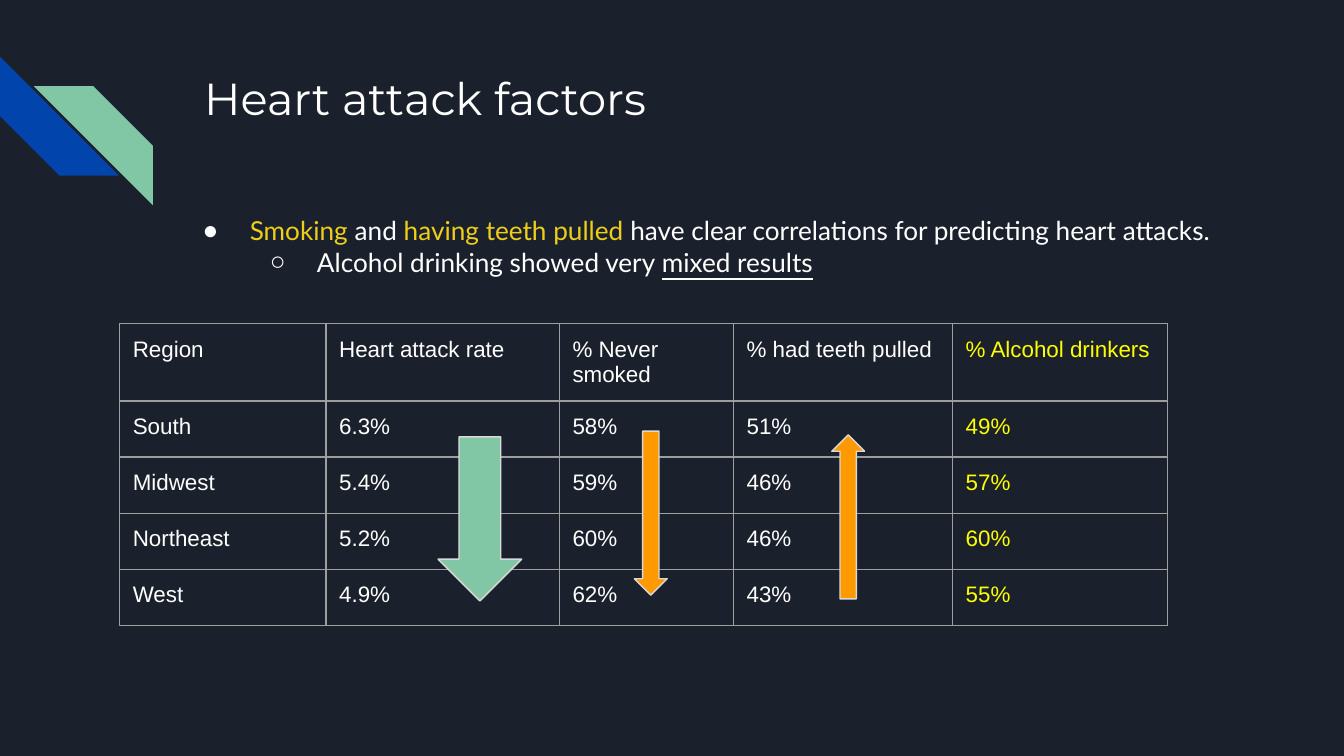
from lxml import etree
from pptx import Presentation
from pptx import util as u
from pptx.dml.color import RGBColor
from pptx.enum import shapes, text
from pptx.oxml.ns import qn

NIGHT = RGBColor(0x1B, 0x21, 0x2C)
WHITE = RGBColor(0xFF, 0xFF, 0xFF)
BLUE = RGBColor(0x01, 0x45, 0xAC)
GREEN = RGBColor(0x82, 0xC7, 0xA5)
ORANGE = RGBColor(0xFF, 0x99, 0x00)
GOLD = RGBColor(0xEE, 0xCE, 0x1A)
YELLOW = RGBColor(0xFF, 0xFF, 0x00)
PALE = RGBColor(0xD9, 0xD9, 0xD9)
GREY = RGBColor(0x9E, 0x9E, 0x9E)

KIND = shapes.MSO_SHAPE
INSET = u.Cm(0.25)


class SlideBuilder:
    """Holds the style and the current slide."""

    title_font, body_font, table_font = "Montserrat", "Lato", "Arial"

    def __init__(self, page):
        self.page = page
        page.background.fill.solid()
        page.background.fill.fore_color.rgb = NIGHT

    def style(self, font, name, size, color=WHITE):
        font.name, font.size = name, u.Pt(size)
        font.color.rgb = color

    def place(self, box, left, top, width, height):
        box.left, box.top = u.Cm(left), u.Cm(top)
        box.width, box.height = u.Cm(width), u.Cm(height)
        frame = box.text_frame
        frame.margin_left = frame.margin_right = INSET
        frame.margin_top = frame.margin_bottom = INSET
        frame.word_wrap = True
        frame.auto_size = text.MSO_AUTO_SIZE.NONE
        frame.vertical_anchor = text.MSO_ANCHOR.TOP
        return frame

    def title(self, words, *area):
        frame = self.place(self.page.shapes.title, *area)
        frame.text = words
        para = frame.paragraphs[0]
        para.alignment = text.PP_ALIGN.LEFT
        self.style(para.font, self.title_font, 24)

    def bullets(self, items, *area):
        """Each item is (bullet, spans); a span is (words, color, underline)."""
        frame = self.place(self.page.placeholders[1], *area)
        for level, (bullet, spans) in enumerate(items):
            para = frame.add_paragraph() if level else frame.paragraphs[0]
            para.level = level
            para.space_before = u.Pt(0)
            self.style(para.font, self.body_font, 14)
            for words, color, underline in spans:
                span = para.add_run()
                span.text = words
                span.font.color.rgb = color
                if underline:
                    span.font.underline = True
            self.bullet(para, bullet, u.Cm(1.27 * (level + 1)), u.Cm(-0.89))

    def bullet(self, para, mark, margin, indent):
        props = para._p.get_or_add_pPr()
        props.set("marL", str(margin))
        props.set("indent", str(indent))
        # The bullet parts stand before the default run properties
        anchor = props.find(qn("a:defRPr"))
        color = etree.Element(qn("a:buClr"))
        etree.SubElement(color, qn("a:srgbClr"), val=str(WHITE))
        anchor.addprevious(color)
        anchor.addprevious(etree.Element(qn("a:buChar"), char=mark))

    def shape(self, kind, area, fill, line=None, rotation=0, flip=False):
        shape = self.page.shapes.add_shape(kind, *map(u.Cm, area))
        shape.shadow.inherit = False
        shape.fill.solid()
        shape.fill.fore_color.rgb = fill
        if line is None:
            shape.line.fill.background()
        else:
            shape.line.color.rgb = line
            shape.line.width = u.Pt(0.75)
        shape.rotation = rotation
        if flip:
            shape._element.spPr.find(qn("a:xfrm")).set("flipH", "1")

    def table(self, rows, left, top, widths, heights, colors):
        table = self.page.shapes.add_table(
            len(rows), len(widths), u.Cm(left), u.Cm(top),
            u.Cm(sum(widths)), u.Cm(sum(heights))).table
        table.first_row = table.horz_banding = False
        for column, width in zip(table.columns, widths):
            column.width = u.Cm(width)
        for row, height, values in zip(table.rows, heights, rows):
            row.height = u.Cm(height)
            for cell, value, color in zip(row.cells, values, colors):
                self.cell(cell, value, color)

    def cell(self, cell, value, color):
        cell.text = value
        self.style(cell.text_frame.paragraphs[0].font, self.table_font, 12, color)
        cell.margin_left = cell.margin_right = INSET
        cell.margin_top = cell.margin_bottom = INSET
        props = cell._tc.get_or_add_tcPr()
        for side in ("lnL", "lnR", "lnT", "lnB"):
            border = etree.SubElement(props, qn("a:" + side), w=str(u.Pt(0.75)))
            fill = etree.SubElement(border, qn("a:solidFill"))
            etree.SubElement(fill, qn("a:srgbClr"), val=str(GREY))
        cell.fill.background()


def main():
    deck = Presentation()
    deck.slide_width, deck.slide_height = u.Cm(25.4), u.Cm(14.29)
    slide = SlideBuilder(deck.slides.add_slide(deck.slide_layouts[1]))

    # Corner stripes
    slide.shape(KIND.DIAGONAL_STRIPE, (0, 1.07, 2.25, 2.25), BLUE, rotation=270)
    slide.shape(KIND.DIAGONAL_STRIPE, (0.64, 1.63, 2.25, 2.25), GREEN, flip=True)

    # Title and findings
    slide.title("Heart attack factors", 3.61, 1.09, 19.56, 2.54)
    slide.bullets([
        ("●", [("Smoking", GOLD, False), (" and ", WHITE, False),
               ("having teeth pulled", GOLD, False),
               (" have clear correlations for predicting heart attacks.",
                WHITE, False)]),
        ("○", [("Alcohol drinking showed very ", WHITE, False),
               ("mixed results", WHITE, True)]),
    ], 3.2, 3.81, 20.73, 1.7)

    # Rates by region
    rows = [
        ("Region", "Heart attack rate", "% Never smoked",
         "% had teeth pulled", "% Alcohol drinkers"),
        ("South", "6.3%", "58%", "51%", "49%"),
        ("Midwest", "5.4%", "59%", "46%", "57%"),
        ("Northeast", "5.2%", "60%", "46%", "60%"),
        ("West", "4.9%", "62%", "43%", "55%"),
    ]
    slide.table(rows, 2.26, 6.12, [3.9, 4.41, 3.29, 4.14, 4.06],
                [1.46] + [1.06] * 4, [WHITE] * 4 + [YELLOW])

    # Trend arrows
    for left, top, width, fill, rotation in [
        (8.28, 8.26, 1.58, GREEN, 0),
        (11.99, 8.15, 0.62, ORANGE, 0),
        (15.72, 8.22, 0.62, ORANGE, 180),
    ]:
        slide.shape(KIND.DOWN_ARROW, (left, top, width, 3.1), fill, PALE, rotation)

    deck.save("out.pptx")


if __name__ == "__main__":
    main()
